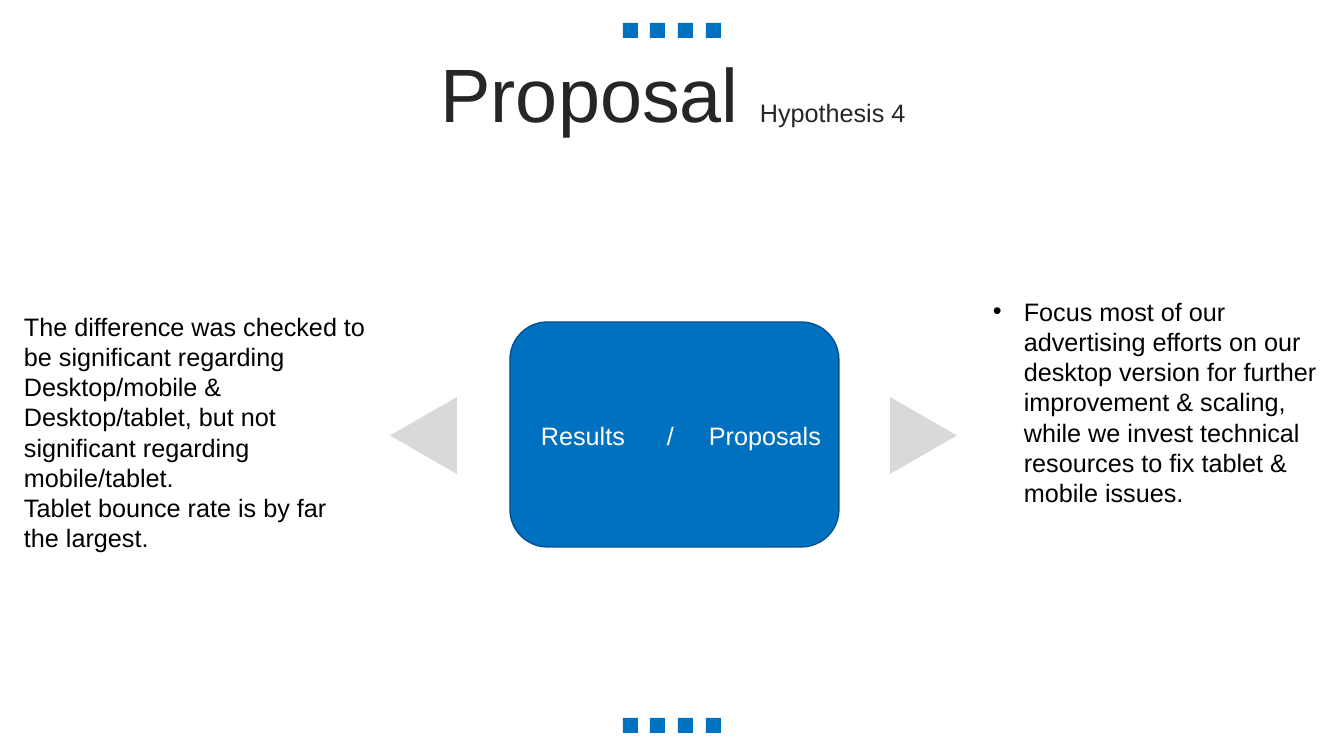
from lxml.etree import SubElement
from pptx import Presentation
from pptx.dml.color import RGBColor
from pptx.enum.shapes import MSO_SHAPE
from pptx.enum.text import MSO_ANCHOR, PP_ALIGN
from pptx.oxml.ns import qn
from pptx.util import Pt

BLUE = RGBColor(0x00, 0x70, 0xC0)
DARK_BLUE = RGBColor(0x00, 0x53, 0x8E)
GREY = RGBColor(0xD9, 0xD9, 0xD9)
INK = RGBColor(0x26, 0x26, 0x26)
BLACK = RGBColor(0, 0, 0)
WHITE = RGBColor(0xFF, 0xFF, 0xFF)


def px(n):
    return round(n * 914400 / 100.8)


def add_shape(s, kind, box, fill, line=None, rotation=0):
    sp = s.shapes.add_shape(kind, *map(px, box))
    sp.shadow.inherit = False
    sp.rotation = rotation
    sp.fill.solid()
    sp.fill.fore_color.rgb = fill
    if line is None:
        sp.line.fill.background()
    else:
        sp.line.color.rgb = line
        sp.line.width = Pt(1)
    return sp


def add_text(s, box, paragraphs, color=BLACK, align=PP_ALIGN.LEFT,
             anchor=MSO_ANCHOR.TOP, spacing=None):
    """Each paragraph is a list of (text, size) runs."""
    tf = s.shapes.add_textbox(*map(px, box)).text_frame
    tf.word_wrap = True
    tf.vertical_anchor = anchor
    for i, runs in enumerate(paragraphs):
        p = tf.add_paragraph() if i else tf.paragraphs[0]
        p.alignment = align
        if spacing:
            p.line_spacing = spacing
        for text, size in runs:
            r = p.add_run()
            r.text = text
            r.font.name = "Arial"
            r.font.size = Pt(size)
            r.font.color.rgb = color
    return tf


def add_bullet(p, indent):
    pPr = p._p.get_or_add_pPr()
    pPr.set("marL", str(px(indent)))
    pPr.set("indent", str(-px(indent)))
    SubElement(pPr, qn("a:buFont"), typeface="Arial")
    SubElement(pPr, qn("a:buChar"), char="•")


def add_tabs(p, *stops):
    tabs = SubElement(p._p.get_or_add_pPr(), qn("a:tabLst"))
    for stop in stops:
        SubElement(tabs, qn("a:tab"), pos=str(px(stop)), algn="l")


def square_row(s, x, y, w, size=15, count=4):
    for i in range(count):
        left = x + i * (w - size) // (count - 1)
        add_shape(s, MSO_SHAPE.RECTANGLE, (left, y, size, size), BLUE)


def title(s, box):
    add_text(s, box, [[("Proposal ", 54), ("Hypothesis 4", 18)]], color=INK,
             align=PP_ALIGN.CENTER, anchor=MSO_ANCHOR.MIDDLE, spacing=0.9)


def results(s, box):
    add_text(s, box, [
        [("The difference was checked to be significant regarding "
          "Desktop/mobile & Desktop/tablet, but not significant regarding "
          "mobile/tablet.", 18)],
        [("Tablet bounce rate is by far the largest.", 18)],
    ])


def proposals(s, box):
    tf = add_text(s, box, [
        [("Focus most of our advertising efforts on our desktop version for "
          "further improvement & scaling, while we invest technical "
          "resources to fix tablet & mobile issues.", 18)],
    ])
    add_bullet(tf.paragraphs[0], 31)


def center_card(s, x, y, w, h):
    add_shape(s, MSO_SHAPE.ROUNDED_RECTANGLE, (x, y, w, h), BLUE, DARK_BLUE)
    tf = add_text(s, (x + 21, y + 93, w - 21, 40),
                  [[("Results\t/\tProposals", 18)]], color=WHITE)
    add_tabs(tf.paragraphs[0], 126, 168)
    # Arrows pointing out to the two texts
    for left, rotation in ((x - 125, 270), (x + 375, 90)):
        add_shape(s, MSO_SHAPE.ISOSCELES_TRIANGLE, (left, y + 80, 77, 67),
                  GREY, rotation=rotation)


def main():
    prs = Presentation()
    prs.slide_width, prs.slide_height = px(1344), px(756)
    s = prs.slides.add_slide(prs.slide_layouts[6])
    for y in (23, 718):
        square_row(s, 623, y, 98)
    title(s, (35, 58, 1276, 80))
    results(s, (14, 306, 363, 254))
    proposals(s, (983, 291, 359, 254))
    center_card(s, 510, 322, 329, 225)
    prs.save("out.pptx")


if __name__ == "__main__":
    main()
